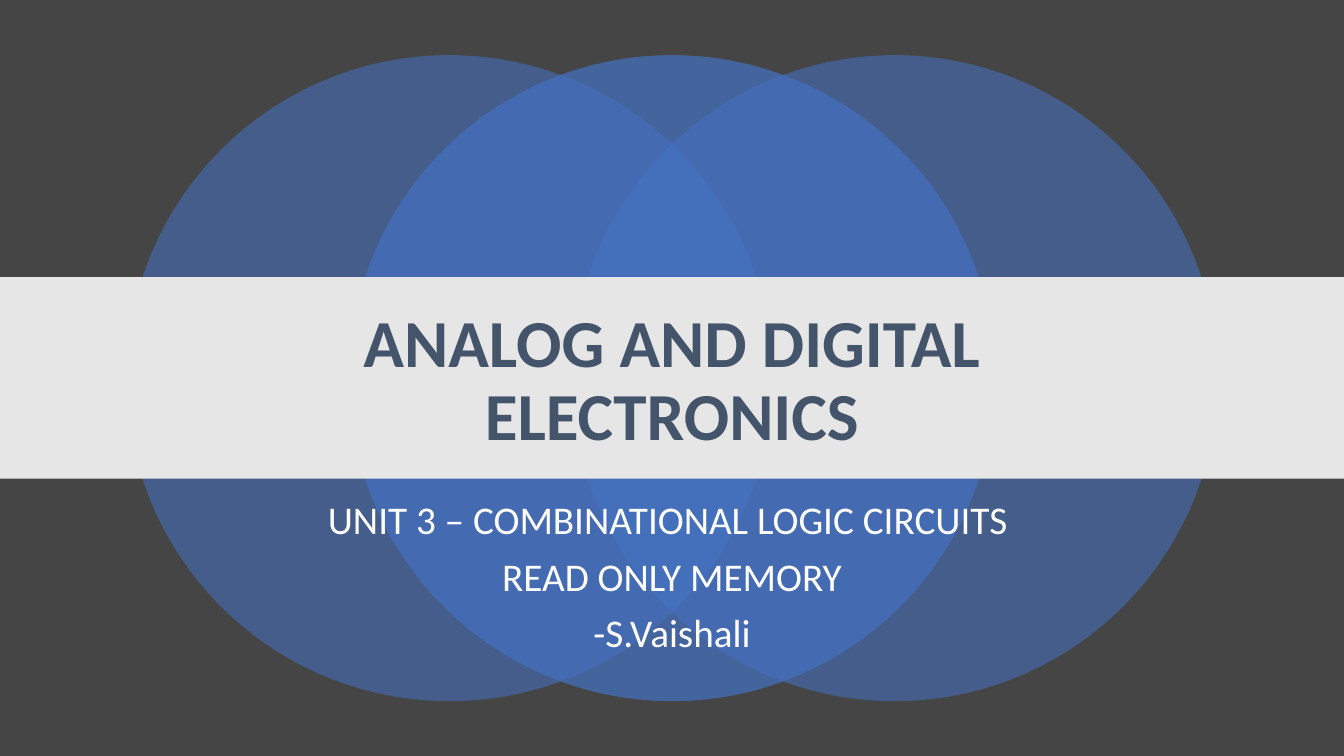
from lxml.etree import SubElement
from pptx import Presentation
from pptx.dml.color import RGBColor
from pptx.enum.shapes import MSO_SHAPE
from pptx.enum.text import MSO_ANCHOR, PP_ALIGN
from pptx.oxml.ns import qn
from pptx.util import Cm, Pt

CHARCOAL = RGBColor(0x45, 0x45, 0x45)
BLUE = RGBColor(0x44, 0x72, 0xC4)
LIGHT_GREY = RGBColor(0xE7, 0xE6, 0xE6)
SLATE = RGBColor(0x44, 0x54, 0x6A)
WHITE = RGBColor(0xFF, 0xFF, 0xFF)

SLIDE_WIDTH, SLIDE_HEIGHT = 33.87, 19.05
DIAMETER = 16.28
CIRCLE_STEP = 5.61
BAND_HEIGHT = 5.08
TEXT_WIDTH = 25.4


def add_filled_shape(page, kind, left, top, width, height, color):
    shape = page.shapes.add_shape(kind, Cm(left), Cm(top), Cm(width), Cm(height))
    shape.shadow.inherit = False
    shape.fill.solid()
    shape.fill.fore_color.rgb = color
    shape.line.fill.background()
    return shape


def add_centred_text(page, top, height, anchor, lines, space_before, font_format):
    left = (SLIDE_WIDTH - TEXT_WIDTH) / 2
    box = page.shapes.add_textbox(Cm(left), Cm(top), Cm(TEXT_WIDTH), Cm(height))
    frame = box.text_frame
    frame.word_wrap = True
    frame.vertical_anchor = anchor
    for index, line in enumerate(lines):
        para = frame.add_paragraph() if index else frame.paragraphs[0]
        para.alignment = PP_ALIGN.CENTER
        para.line_spacing = 0.9
        para.space_before = Pt(space_before if index else 0)
        span = para.add_run()
        span.text = line
        span.font.color.rgb = font_format["color"]
        for name, value in font_format["font"].items():
            setattr(span.font, name, value)


deck = Presentation()
deck.slide_width = Cm(SLIDE_WIDTH)
deck.slide_height = Cm(SLIDE_HEIGHT)
page = deck.slides.add_slide(deck.slide_layouts[6])
page.background.fill.solid()
page.background.fill.fore_color.rgb = CHARCOAL

# Overlapping circles: the two sides first, the stronger middle one on top
for step, opacity in ((-1, 55), (1, 55), (0, 70)):
    left = (SLIDE_WIDTH - DIAMETER) / 2 + step * CIRCLE_STEP
    circle = add_filled_shape(page, MSO_SHAPE.OVAL, left, 1.39,
                              DIAMETER, DIAMETER, BLUE)
    color = circle.fill._xPr.find(qn("a:solidFill"))[0]
    SubElement(color, qn("a:alpha"), val=str(opacity * 1000))

# Title band across the middle
add_filled_shape(page, MSO_SHAPE.RECTANGLE, 0, (SLIDE_HEIGHT - BAND_HEIGHT) / 2,
                 SLIDE_WIDTH, BAND_HEIGHT, LIGHT_GREY)

# Title and subtitle
add_centred_text(page, 7.72, 3.84, MSO_ANCHOR.MIDDLE,
                 ["ANALOG AND DIGITAL ELECTRONICS"], 0,
                 {"color": SLATE,
                  "font": {"name": "Calibri", "size": Pt(48), "bold": True}})
add_centred_text(page, 12.5, 5.08, MSO_ANCHOR.TOP,
                 ["UNIT 3 – COMBINATIONAL LOGIC CIRCUITS ",
                  "READ ONLY MEMORY", "-S.Vaishali"], 10,
                 {"color": WHITE,
                  "font": {"name": "Calibri", "size": Pt(28), "bold": False}})

deck.save("out.pptx")
